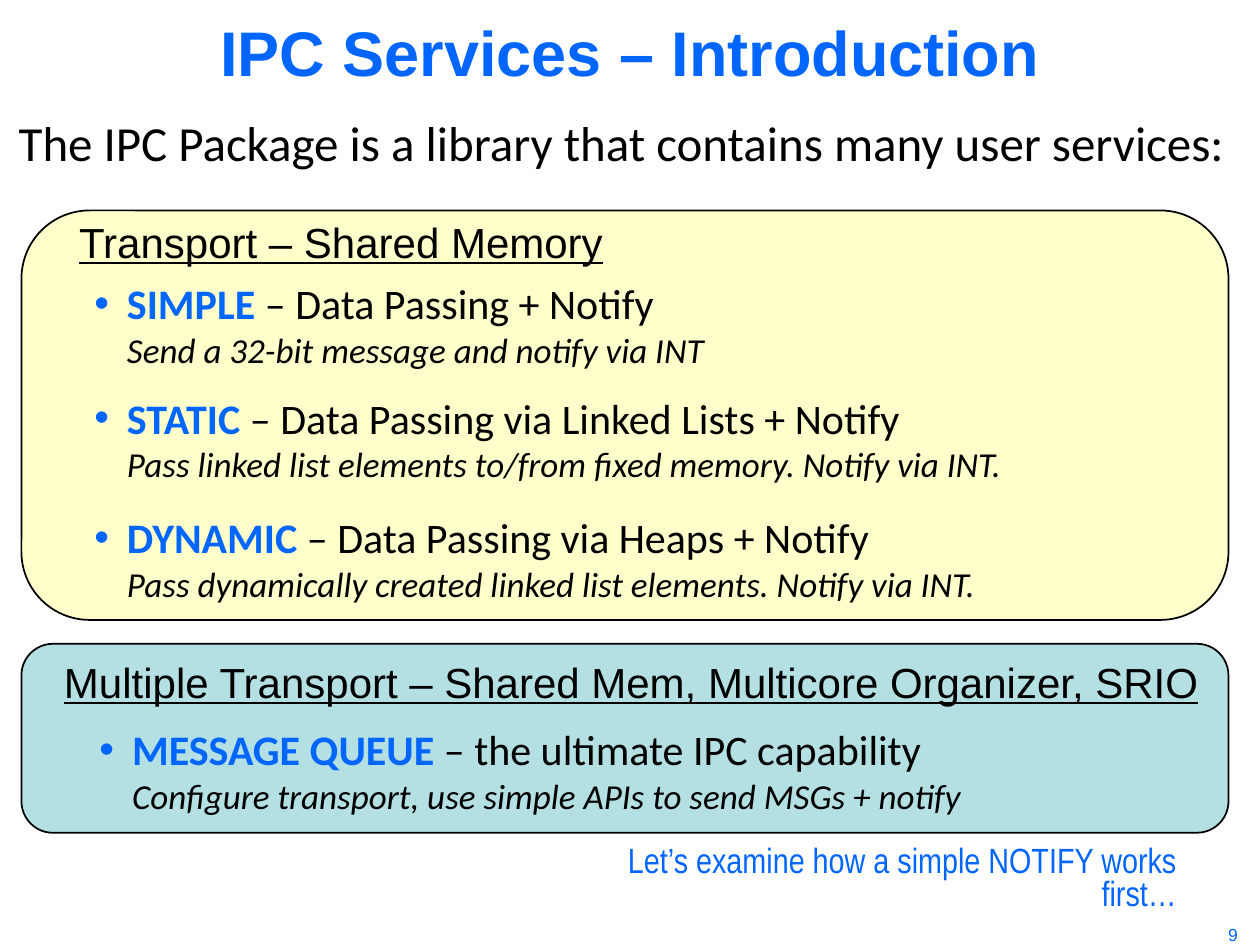
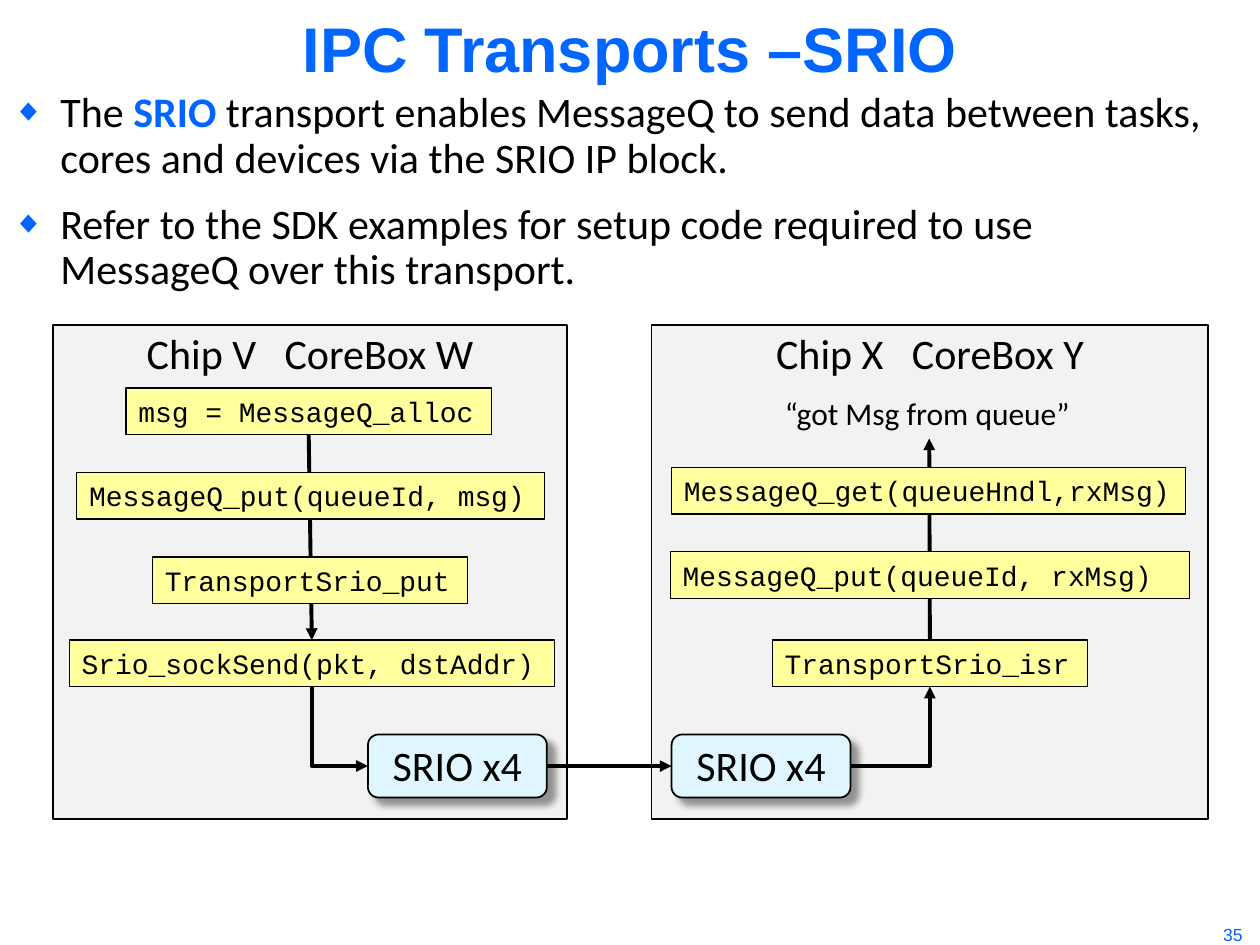
from dataclasses import dataclass
from typing import NamedTuple, Optional

from lxml.etree import SubElement
from pptx import Presentation
from pptx.dml.color import RGBColor
from pptx.enum.shapes import MSO_CONNECTOR as LinkKind, MSO_SHAPE as Preset
from pptx.enum.text import MSO_ANCHOR as Anchor, MSO_AUTO_SIZE as AutoSize, PP_ALIGN as Align
from pptx.oxml.ns import qn
from pptx.util import Inches, Pt

BLUE = "0066FF"
BLACK = "000000"
CREAM = "FFFFCC"
TEAL = "B5E0E3"
GREY = "F2F2F2"
YELLOW = "FFFF9E"
ICE = "DFF6FF"
TITLE_ONLY, TITLE_AND_BODY = 5, 1


class Area(NamedTuple):
    left: float
    top: float
    width: float
    height: float


@dataclass(frozen=True)
class Span:
    text: str
    size: float = 24
    font: str = "Calibri"
    color: str = BLACK
    bold: bool = False
    italic: bool = False
    underline: bool = False
    spacing: float = 0


@dataclass(frozen=True)
class Bullet:
    char: str
    indent: float
    percent: int = 100


@dataclass(frozen=True)
class Service:
    area: Area
    name: str
    summary: str
    detail: str


@dataclass(frozen=True)
class CodeBox:
    left: float
    top: float
    width: float
    code: str


@dataclass(frozen=True)
class Chip:
    area: Area
    name: str
    core: str
    port_left: float
    calls: tuple[CodeBox, ...]


DOT = Bullet("•", 0.26)
DIAMOND = Bullet("◆", 0.38, 75)

SERVICES = (
    Service(Area(0.65, 2.15, 5.96, 0.84), "SIMPLE", " – Data Passing + Notify",
            "Send a 32-bit message and notify via INT"),
    Service(Area(0.65, 3.06, 9, 0.84), "STATIC", " – Data Passing via Linked Lists + Notify",
            "Pass linked list elements to/from fixed memory. Notify via INT."),
    Service(Area(0.65, 4.01, 8.5, 0.84), "DYNAMIC", " – Data Passing via Heaps + Notify",
            "Pass dynamically created linked list elements. Notify via INT."),
    Service(Area(0.69, 5.69, 7.06, 0.84), "MESSAGE QUEUE", " – the ultimate IPC capability",
            "Configure transport, use simple APIs to send MSGs + notify"),
)

SENDER = Chip(Area(0.42, 2.58, 4.08, 3.92), "Chip V", "CoreBox W", 2.92, (
    CodeBox(1, 3.08, 2.9, "msg = MessageQ_alloc"),
    CodeBox(0.61, 3.75, 3.71, "MessageQ_put(queueId, msg)"),
    CodeBox(1.21, 4.42, 2.5, "TransportSrio_put"),
    CodeBox(0.55, 5.08, 3.85, "Srio_sockSend(pkt, dstAddr)"),
))
RECEIVER = Chip(Area(5.17, 2.58, 4.42, 3.92), "Chip X", "CoreBox Y", 5.33, (
    CodeBox(5.33, 3.71, 4.08, "MessageQ_get(queueHndl,rxMsg)"),
    CodeBox(5.32, 4.38, 4.12, "MessageQ_put(queueId, rxMsg)"),
    CodeBox(6.13, 5.08, 2.5, "TransportSrio_isr"),
))


def color_of(value: str) -> RGBColor:
    return RGBColor.from_string(value)


def place(shape, area: Area) -> None:
    shape.left, shape.top, shape.width, shape.height = map(Inches, area)


def add_bullet(para, bullet: Bullet) -> None:
    props = para._p.get_or_add_pPr()
    props.set("marL", str(Inches(bullet.indent)))
    props.set("indent", str(-Inches(bullet.indent)))
    tint = SubElement(props, qn("a:buClr"))
    SubElement(tint, qn("a:srgbClr"), val=BLUE)
    SubElement(props, qn("a:buSzPct"), val=str(bullet.percent * 1000))
    SubElement(props, qn("a:buFont"), typeface="Arial")
    SubElement(props, qn("a:buChar"), char=bullet.char)


def add_span(para, span: Span) -> None:
    for index, line in enumerate(span.text.split("\n")):
        if index:
            para.add_line_break()
        if not line:
            continue
        run = para.add_run()
        run.text = line
        font = run.font
        font.size, font.name = Pt(span.size), span.font
        font.bold, font.italic, font.underline = span.bold, span.italic, span.underline
        font.color.rgb = color_of(span.color)
        if span.spacing:
            run._r.get_or_add_rPr().set("spc", str(int(span.spacing * 100)))


def write(shape, *paragraphs: tuple[Span, ...], align=Align.LEFT, anchor=Anchor.MIDDLE,
          line: float = 1, before: float = 0, bullet: Optional[Bullet] = None,
          insets: tuple[float, ...] = (0.1, 0.05, 0.1, 0.05)) -> None:
    frame = shape.text_frame
    frame.word_wrap = True
    frame.auto_size = AutoSize.NONE
    frame.vertical_anchor = anchor
    (frame.margin_left, frame.margin_top,
     frame.margin_right, frame.margin_bottom) = map(Inches, insets)
    for index, spans in enumerate(paragraphs):
        para = frame.add_paragraph() if index else frame.paragraphs[0]
        if bullet:
            add_bullet(para, bullet)
        para.alignment = align
        para.line_spacing = line
        para.space_before = Pt(before if index else 0)
        for span in spans:
            add_span(para, span)


def add_text(page, area: Area, *spans: Span, **layout):
    box = page.shapes.add_textbox(*map(Inches, area))
    write(box, spans, **layout)
    return box


def add_panel(page, preset, area: Area, fill: str, line_width: float = 1):
    panel = page.shapes.add_shape(preset, *map(Inches, area))
    panel.shadow.inherit = False
    panel.fill.solid()
    panel.fill.fore_color.rgb = color_of(fill)
    panel.line.color.rgb = color_of(BLACK)
    panel.line.width = Pt(line_width)
    return panel


def add_page(deck, layout: int, title: str, title_top: float, number: str):
    page = deck.slides.add_slide(deck.slide_layouts[layout])
    place(page.shapes.title, Area(0, title_top, 10, 0.81))
    write(page.shapes.title, (Span(title, 36, "Arial", BLUE, bold=True),), align=Align.CENTER)
    add_text(page, Area(9.57, 7.23, 0.43, 0.27 + 0.08 - 0.08), Span(number, 10, "Arial", BLUE),
             align=Align.CENTER, insets=(0.1, 0.1, 0.1, 0))
    return page


def add_service(page, service: Service) -> None:
    add_text(page, service.area,
             Span(service.name, color=BLUE, bold=True),
             Span(f"{service.summary}\n"),
             Span(service.detail, 20, italic=True), bullet=DOT)


def add_arrow(page, kind=LinkKind.STRAIGHT, end: str = "tailEnd"):
    arrow = page.shapes.add_connector(kind, 0, 0, 0, 0)
    arrow.line.color.rgb = color_of(BLACK)
    arrow.line.width = Pt(2.25)
    SubElement(arrow.line._get_or_add_ln(), qn(f"a:{end}"), type="triangle")
    props = arrow._element.spPr
    SubElement(props, qn("a:effectLst"))
    if kind == LinkKind.ELBOW:
        props.find(qn("a:prstGeom")).set("prst", "bentConnector2")
    return arrow


def join(arrow, start, start_side: int, finish, finish_side: int) -> None:
    arrow.begin_connect(start, start_side)
    arrow.end_connect(finish, finish_side)


def add_chip(page, chip: Chip):
    panel = add_panel(page, Preset.RECTANGLE, chip.area, GREY)
    write(panel, (Span(chip.name), Span(" ", spacing=10.8), Span(chip.core)),
          align=Align.CENTER, anchor=Anchor.TOP, line=0.8, insets=(0.1, 0.1, 0.1, 0.05))
    flow = add_arrow(page)
    calls = []
    for call in chip.calls:
        box = add_panel(page, Preset.RECTANGLE, Area(call.left, call.top, call.width, 0.37),
                        YELLOW, 0.75)
        write(box, (Span(call.code, 16, "Courier New"),))
        calls.append(box)
    return flow, calls


def add_port(page, left: float):
    port = add_panel(page, Preset.ROUNDED_RECTANGLE, Area(left, 5.83, 1.42, 0.5), ICE)
    effects = port._element.spPr.find(qn("a:effectLst"))
    shadow = SubElement(effects, qn("a:outerShdw"), blurRad=str(Pt(4)), dist=str(Pt(6)),
                        dir="2700000", algn="tl", rotWithShape="0")
    tint = SubElement(shadow, qn("a:srgbClr"), val=BLACK)
    SubElement(tint, qn("a:alpha"), val="40000")
    write(port, (Span("SRIO x4"),), align=Align.CENTER, line=0.8, insets=(0.1, 0.1, 0.1, 0.05))
    return port


def build_introduction(deck) -> None:
    page = add_page(deck, TITLE_ONLY, "IPC Services – Introduction", 0, "9")
    add_text(page, Area(0.05, 0.93, 9.92, 0.48),
             Span("The IPC Package is a library that contains many user services:", 28), line=0.8)
    add_panel(page, Preset.ROUNDED_RECTANGLE, Area(0.17, 1.67, 9.58, 3.25), CREAM)
    add_panel(page, Preset.ROUNDED_RECTANGLE, Area(0.17, 5.11, 9.58, 1.5), TEAL)
    for area, heading in (
        (Area(0.53, 1.67, 5.16, 0.5), "Transport – Shared Memory"),
        (Area(0.41, 5.16, 9.26, 0.5), "Multiple Transport – Shared Mem, Multicore Organizer, SRIO"),
    ):
        add_text(page, area, Span(heading, font="Arial", underline=True))
    for service in SERVICES:
        add_service(page, service)
    add_text(page, Area(4.38, 6.98, 4.96, 0.27),
             Span("Let’s examine how a simple NOTIFY works first…", 20, "Arial Narrow", BLUE),
             align=Align.RIGHT, anchor=Anchor.BOTTOM, line=0.8, insets=(0, 0, 0, 0))


def build_srio(deck) -> None:
    page = add_page(deck, TITLE_AND_BODY, "IPC Transports –SRIO", -0.03, "35")
    body = page.placeholders[1]
    place(body, Area(0, 0.67, 9.72, 1.72))
    write(body,
          (Span("The "), Span("SRIO", color=BLUE, bold=True),
           Span(" transport enables MessageQ to send data between tasks,\n"
                "cores and devices via the SRIO IP block.")),
          (Span("Refer to the SDK examples for setup code required to use\n"
                "MessageQ over this transport."),),
          line=0.9, before=12, bullet=DIAMOND)

    send_flow, send_calls = add_chip(page, SENDER)
    receive_flow, receive_calls = add_chip(page, RECEIVER)
    result = add_text(page, Area(6.13, 3.08, 2.49, 0.4), Span("“got Msg from queue”", 18))
    join(send_flow, send_calls[0], 2, send_calls[-1], 0)
    join(receive_flow, receive_calls[-1], 0, result, 2)

    out_port, in_port = (add_port(page, chip.port_left) for chip in (SENDER, RECEIVER))
    join(add_arrow(page, LinkKind.ELBOW, "headEnd"), out_port, 1, send_calls[-1], 2)
    join(add_arrow(page), out_port, 3, in_port, 1)
    join(add_arrow(page, LinkKind.ELBOW), in_port, 3, receive_calls[-1], 2)


def main() -> None:
    deck = Presentation()
    deck.slide_width, deck.slide_height = Inches(10), Inches(7.5)
    build_introduction(deck)
    build_srio(deck)
    deck.save("out.pptx")


if __name__ == "__main__":
    main()
